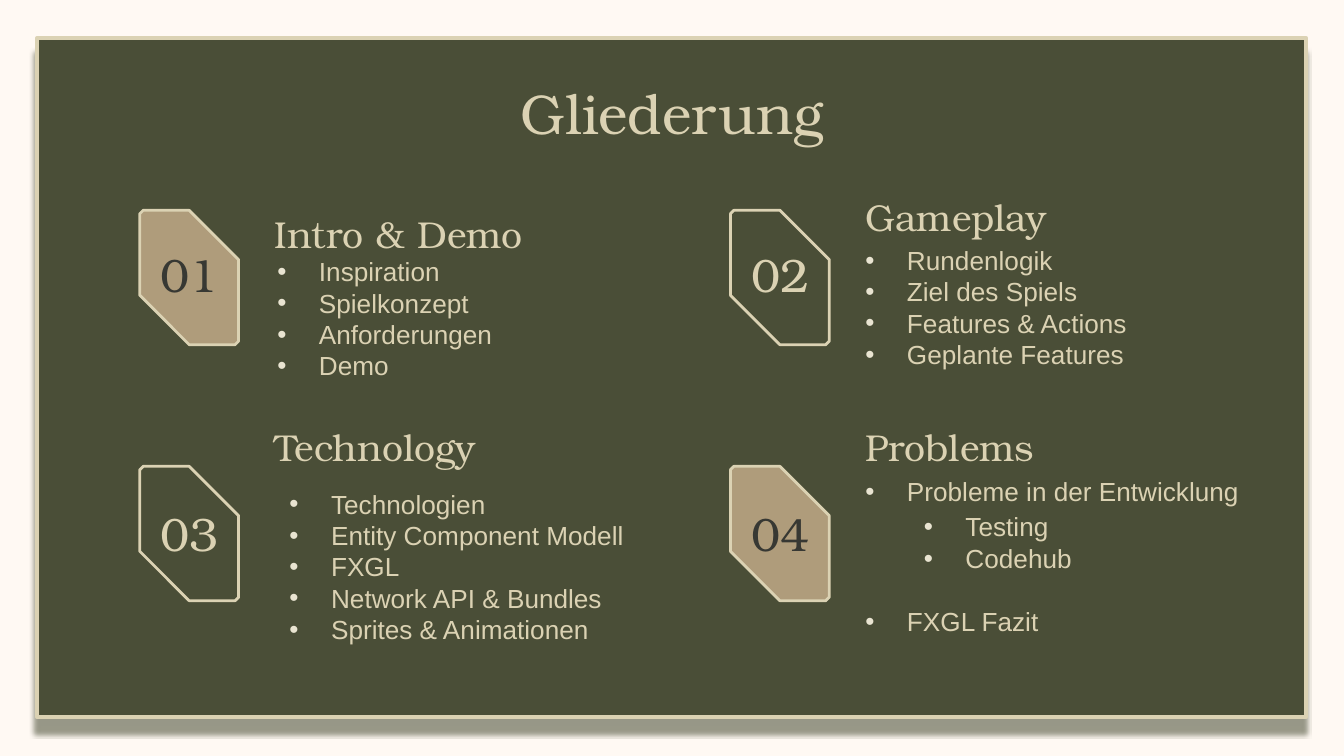
from lxml import etree
from pptx import Presentation
from pptx.dml.color import RGBColor
from pptx.enum.shapes import MSO_SHAPE
from pptx.enum.text import MSO_ANCHOR, MSO_AUTO_SIZE, PP_ALIGN
from pptx.oxml.ns import qn
from pptx.util import Pt

PX = 4572  # 200 px to the inch
CREAM = RGBColor(0xFF, 0xF9, 0xF3)
OLIVE = RGBColor(0x4A, 0x4E, 0x37)
SAND = RGBColor(0xDB, 0xD2, 0xB3)
TAN = RGBColor(0xAF, 0x9C, 0x7B)
DARK = RGBColor(0x37, 0x38, 0x33)
SHADE = RGBColor(0x53, 0x57, 0x3F)
BULLET = RGBColor(0xE9, 0xE4, 0xD1)
SERIF, SANS = "TeX Gyre Bonum", "Arial"
LEFT, CENTER = PP_ALIGN.LEFT, PP_ALIGN.CENTER
TOP, MIDDLE = MSO_ANCHOR.TOP, MSO_ANCHOR.MIDDLE
NO_FIT = MSO_AUTO_SIZE.NONE
RECTANGLE, SNIPPED = MSO_SHAPE.RECTANGLE, MSO_SHAPE.SNIP_2_DIAG_RECTANGLE
TITLE_ONLY = 5


class OutlineSlide:
    def __init__(self, presentation):
        self.slide = presentation.slides.add_slide(presentation.slide_layouts[TITLE_ONLY])
        fill = self.slide.background.fill
        fill.solid()
        fill.fore_color.rgb = CREAM

    def shape(self, kind, box, fill, line_width):
        shape = self.slide.shapes.add_shape(kind, *(value * PX for value in box))
        shape.shadow.inherit = False
        if fill is None:
            shape.fill.background()
        else:
            shape.fill.solid()
            shape.fill.fore_color.rgb = fill
        shape.line.color.rgb = SAND
        shape.line.width = Pt(line_width)
        return shape

    def panel(self, box):
        panel = self.shape(RECTANGLE, box, OLIVE, 2.25)
        effects = panel._element.spPr.find(qn("a:effectLst"))
        shadow = etree.SubElement(effects, qn("a:outerShdw"), blurRad=str(Pt(2.2)),
                                  dist=str(Pt(8.2)), dir=str(95 * 60000),
                                  algn="bl", rotWithShape="0")
        color = etree.SubElement(shadow, qn("a:srgbClr"), val=str(SHADE))
        etree.SubElement(color, qn("a:alpha"), val="60000")
        # Behind the title placeholder
        self.slide.shapes._spTree.insert(2, panel._element)

    def badge(self, box, fill):
        badge = self.shape(SNIPPED, box, fill, 1.5)
        badge.adjustments[0], badge.adjustments[1] = 0.035, 0.5

    def fill_text(self, shape, lines, size, font=SERIF, color=SAND,
                  align=LEFT, anchor=MIDDLE, bullets=False):
        frame = shape.text_frame
        frame_format = {"word_wrap": True, "auto_size": NO_FIT, "vertical_anchor": anchor}
        frame_format.update({f"margin_{side}": 20 * PX
                             for side in ("left", "top", "right", "bottom")})
        for name, value in frame_format.items():
            setattr(frame, name, value)
        frame.text = "\n".join(lines)
        for paragraph in frame.paragraphs:
            paragraph.alignment = align
            if bullets:
                self.bullet(paragraph)
            for name, value in {"name": font, "size": Pt(size), "bold": False}.items():
                setattr(paragraph.font, name, value)
            paragraph.font.color.rgb = color
        return frame

    def bullet(self, paragraph):
        properties = paragraph._p.get_or_add_pPr()
        properties.set("marL", str(62 * PX))
        properties.set("indent", str(-62 * PX))
        color = etree.SubElement(properties, qn("a:buClr"))
        etree.SubElement(color, qn("a:srgbClr"), val=str(BULLET))
        etree.SubElement(properties, qn("a:buFont"), typeface=SANS)
        etree.SubElement(properties, qn("a:buChar"), char="•")

    def title(self, text, box):
        title = self.slide.shapes.title
        title.left, title.top, title.width, title.height = (value * PX for value in box)
        self.fill_text(title, [text], 30, align=CENTER, anchor=TOP)

    def text(self, box, lines, size, **style):
        textbox = self.slide.shapes.add_textbox(*(value * PX for value in box))
        return self.fill_text(textbox, lines, size, **style)

    def bullet_list(self, box, lines):
        return self.text(box, lines, 14, font=SANS, bullets=True)


def main():
    presentation = Presentation()
    presentation.slide_width, presentation.slide_height = 2000 * PX, 1125 * PX
    outline = OutlineSlide(presentation)

    # Frame and title
    outline.panel((55, 57, 1889, 1010))
    outline.title("Gliederung", (157, 97, 1686, 126))

    # Numbered badges: two columns, two rows
    badges = [("01", 208, 313, 358, True), ("02", 1087, 313, 358, False),
              ("03", 208, 694, 744, False), ("04", 1087, 694, 744, True)]
    for number, left, top, number_top, filled in badges:
        outline.badge((left, top, 147, 200), TAN if filled else None)
        outline.text((left - 25, number_top, 198, 98), [number], 25,
                     color=DARK if filled else SAND, align=CENTER)

    # Section headings
    headings = [("Intro & Demo", 389, 314), ("Gameplay", 1268, 288),
                ("Technology", 389, 631), ("Problems", 1268, 631)]
    for heading, left, top in headings:
        outline.text((left, top, 550, 68), [heading], 20)

    # Section contents
    outline.bullet_list((393, 348, 550, 252),
                        ["Inspiration", "Spielkonzept", "Anforderungen", "Demo"])
    outline.bullet_list((1268, 357, 550, 200),
                        ["Rundenlogik", "Ziel des Spiels", "Features & Actions",
                         "Geplante Features"])
    outline.bullet_list((411, 717, 550, 252),
                        ["Technologien", "Entity Component Modell", "FXGL",
                         "Network API & Bundles", "Sprites & Animationen"])
    problems = outline.bullet_list((1268, 702, 602, 252),
                                   ["Probleme in der Entwicklung", "FXGL Fazit"])
    problems.paragraphs[1].space_before = Pt(53)  # room for the nested list
    outline.bullet_list((1355, 681, 550, 252), ["Testing", "Codehub"])

    presentation.save("out.pptx")


if __name__ == "__main__":
    main()
